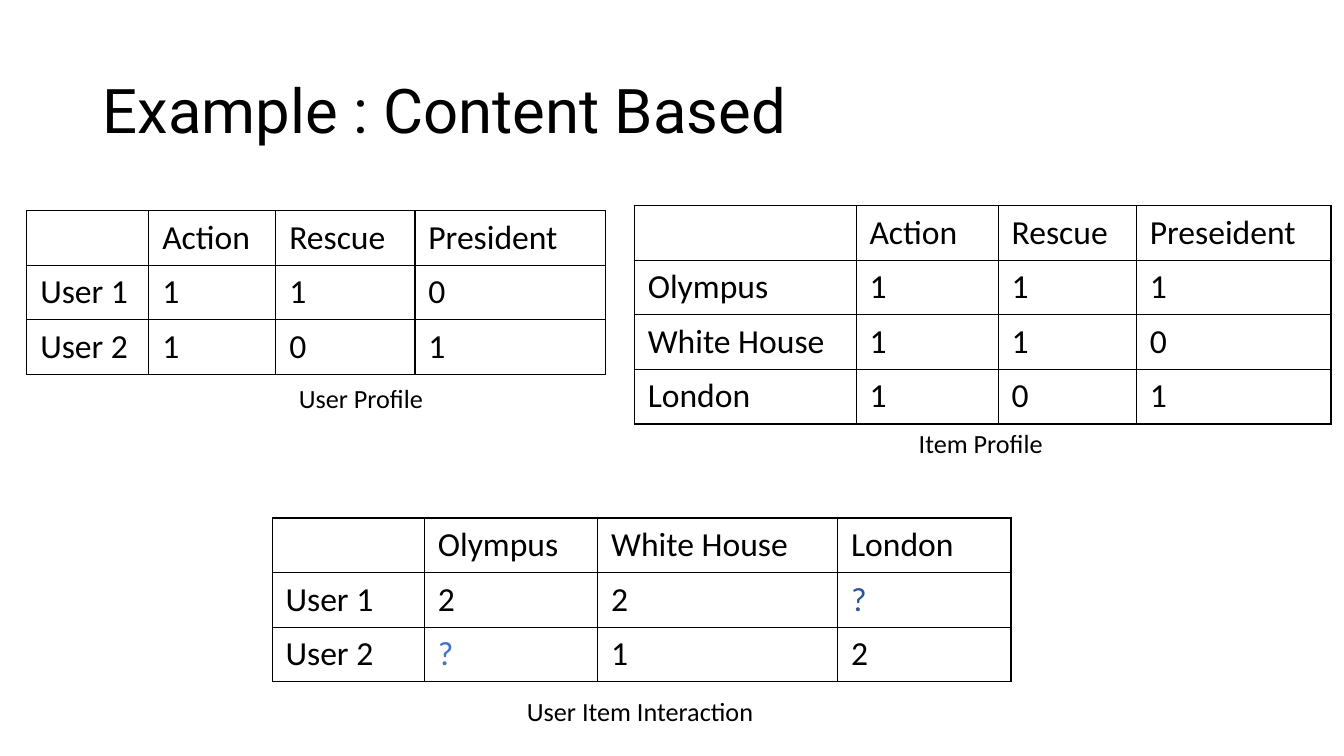
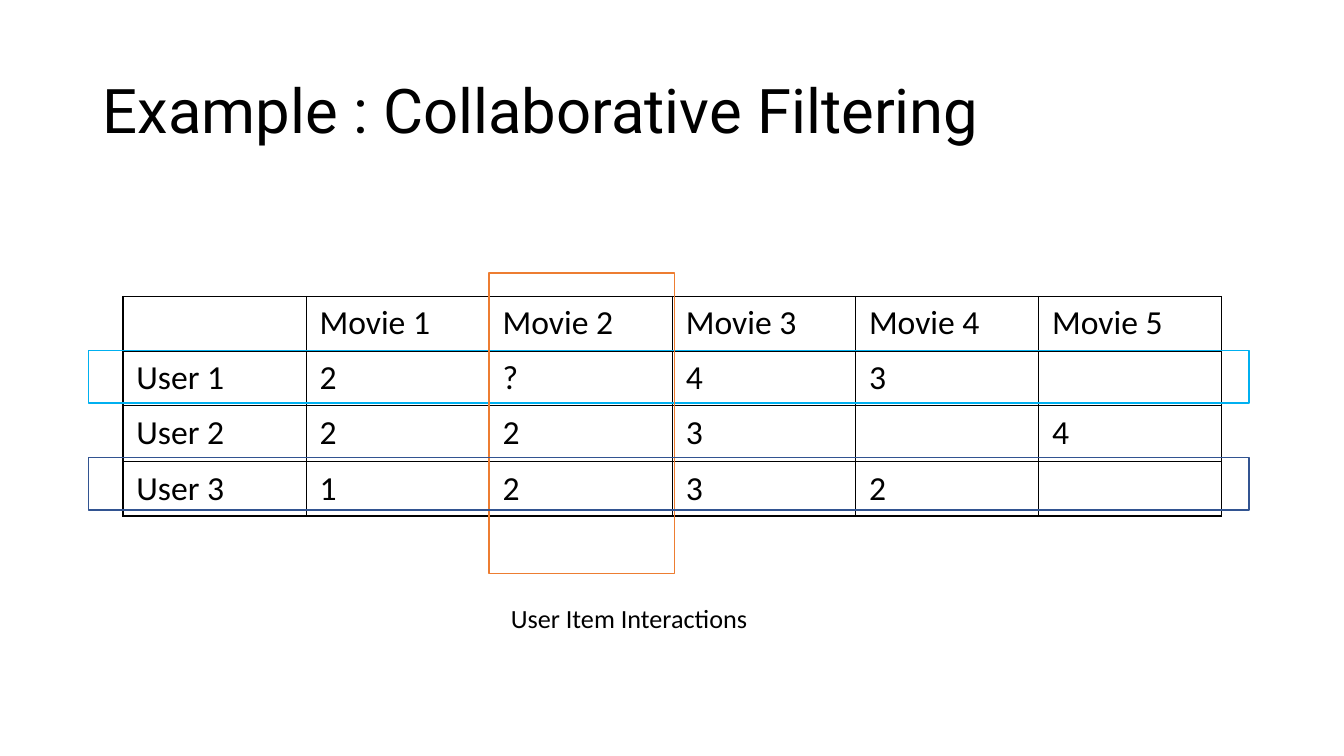
from lxml import etree
from pptx import Presentation
from pptx.dml.color import RGBColor
from pptx.enum.shapes import MSO_SHAPE
from pptx.enum.text import MSO_ANCHOR, PP_ALIGN
from pptx.oxml.ns import qn
from pptx.util import Inches, Pt

RECT = MSO_SHAPE.RECTANGLE
MIDDLE = MSO_ANCHOR.MIDDLE
LEFT, CENTER = PP_ALIGN.LEFT, PP_ALIGN.CENTER


def color(code):
    return RGBColor.from_string(code)


class Deck:
    ink = "000000"
    head = "Roboto"
    body = "Calibri"
    row = 7.22

    def __init__(self):
        self.prs = Presentation()
        self.prs.slide_width = Inches(13.33)
        self.prs.slide_height = Inches(7.5)

    def across(self, share):
        return round(self.prs.slide_width * share / 100)

    def down(self, share):
        return round(self.prs.slide_height * share / 100)

    def box(self, left, top, width, height):
        return (self.across(left), self.down(top),
                self.across(width), self.down(height))

    def style(self, para, size, font, code):
        for run in para.runs:
            run.font.size = Pt(size)
            run.font.name = font
            run.font.color.rgb = color(code)

    def text(self, words, place, size, font, align):
        frame = self.slide.shapes.add_textbox(*self.box(*place)).text_frame
        frame.word_wrap = True
        frame.vertical_anchor = MIDDLE
        frame.text = words
        para = frame.paragraphs[0]
        para.alignment = align
        self.style(para, size, font, self.ink)
        return para

    def page(self, title):
        self.slide = self.prs.slides.add_slide(self.prs.slide_layouts[6])
        para = self.text(title, (6.9, 5.33, 86.25, 19.33), 44, self.head, LEFT)
        para.line_spacing = 0.9

    def label(self, words, left, top):
        self.text(words, (left, top, 20.85, 6), 18.7, self.body, CENTER)

    def border(self, cell):
        props = cell._tc.get_or_add_tcPr()
        for side in ("a:lnL", "a:lnR", "a:lnT", "a:lnB"):
            line = etree.SubElement(props, qn(side), w=str(Pt(1)))
            fill = etree.SubElement(line, qn("a:solidFill"))
            etree.SubElement(fill, qn("a:srgbClr"), val=self.ink)

    def cell(self, cell, words, code):
        cell.margin_left = cell.margin_right = Pt(9.6)
        cell.margin_top = cell.margin_bottom = Pt(4.8)
        self.border(cell)
        cell.fill.background()
        cell.text = words
        self.style(cell.text_frame.paragraphs[0], 24, self.body, code)

    def table(self, left, top, widths, rows, tints=None):
        tints = tints or {}
        place = self.box(left, top, sum(widths), self.row * len(rows))
        grid = self.slide.shapes.add_table(len(rows), len(widths), *place).table
        grid.first_row = grid.horz_banding = False
        for col, width in zip(grid.columns, widths):
            col.width = self.across(width)
        for r, row in enumerate(rows):
            grid.rows[r].height = self.down(self.row)
            for c, words in enumerate(row):
                self.cell(grid.cell(r, c), words, tints.get((r, c), self.ink))
        return grid

    def outline(self, place, code):
        shape = self.slide.shapes.add_shape(RECT, *self.box(*place))
        shape.shadow.inherit = False
        shape.fill.background()
        shape.line.color.rgb = color(code)
        shape.line.width = Pt(1)


def content(deck):
    deck.page("Example : Content Based")
    deck.table(2, 27.87, (9.08, 9.45, 10.35, 14.18), [
        ("", "Action", "Rescue", "President"),
        ("User 1", "1", "1", "0"),
        ("User 2", "1", "0", "1"),
    ])
    deck.label("User Profile", 16.43, 49.6)
    deck.table(47.2, 27.2, (16.5, 10.58, 10.28, 14.48), [
        ("", "Action", "Rescue", "Preseident"),
        ("Olympus", "1", "1", "1"),
        ("White House", "1", "1", "0"),
        ("London", "1", "0", "1"),
    ])
    deck.label("Item Profile", 62.55, 55.6)
    deck.table(20.25, 68.53, (11.33, 12.9, 17.85, 12.9), [
        ("", "Olympus", "White House", "London"),
        ("User 1", "2", "2", "?"),
        ("User 2", "?", "1", "2"),
    ], {(1, 3): "2F5597", (2, 1): "4472C4"})
    deck.label("User Item Interaction", 37.2, 91.07)


def shared(deck):
    deck.page("Example : Collaborative Filtering")
    movies = [f"Movie {n}" for n in range(1, 6)]
    grid = deck.table(9.15, 39.2, [13.63] * 6, [
        ("", *movies),
        ("User 1", "2", "?", "4", "3", ""),
        ("User 2", "2", "2", "3", "", "4"),
        ("User 3", "1", "2", "3", "2", ""),
    ])
    grid.rows[2].height = deck.down(7.4)
    deck.outline((6.6, 46.4, 86.33, 6.93), "00B0F0")
    deck.outline((36.38, 36.13, 13.8, 39.73), "ED7D31")
    deck.label("User Item Interactions", 36.38, 78.8)
    deck.outline((6.6, 60.53, 86.33, 6.93), "325491")


def main():
    deck = Deck()
    content(deck)
    shared(deck)
    deck.prs.save("out.pptx")


if __name__ == "__main__":
    main()
